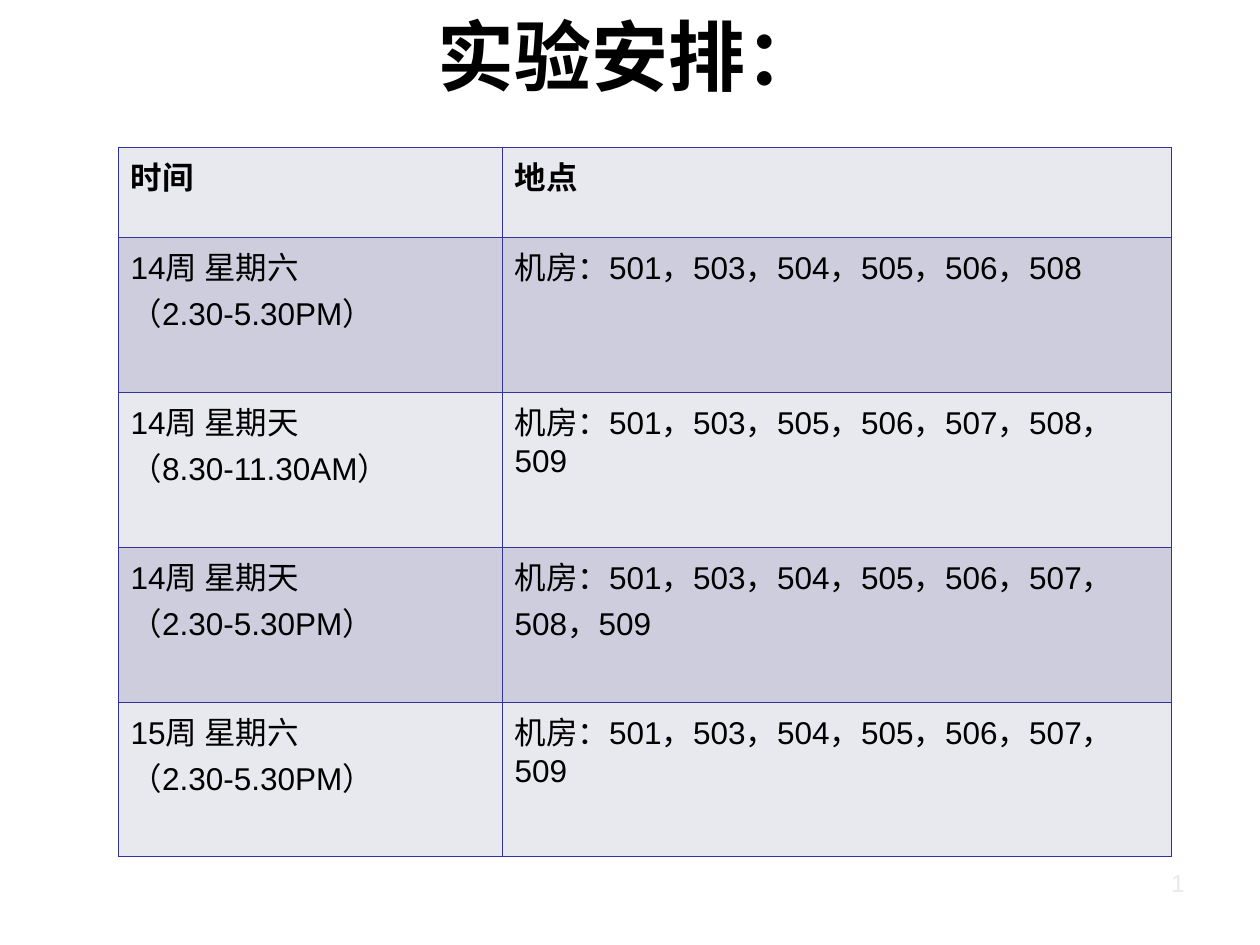
from typing import NamedTuple

from lxml.etree import SubElement
from pptx import Presentation
from pptx.dml.color import RGBColor
from pptx.enum.text import MSO_ANCHOR as Anchor, PP_ALIGN as Align
from pptx.oxml.ns import qn
from pptx.util import Emu, Pt

PX = 914400 / 126
FONT = "Arial"
BLACK = RGBColor(0x00, 0x00, 0x00)
PALE = RGBColor(0xE8, 0xE8, 0xEF)
LILAC = RGBColor(0xCD, 0xCD, 0xDE)
NAVY = RGBColor(0x33, 0x33, 0x99)
BORDER_WIDTH = Pt(0.45)
COLUMN_WIDTHS = (384, 669)
HEADER_HEIGHT, ROW_HEIGHT = 90, 155


class Label(NamedTuple):
    text: str
    left: int
    top: int
    width: int
    height: int
    size: int
    color: RGBColor
    bold: bool
    align: Align


class Session(NamedTuple):
    day: str
    hours: str
    rooms: tuple[int, ...]


LABELS = (
    Label("实验安排：", 63, 6, 1134, 97, 44, BLACK, True, Align.CENTER),
    Label("1", 903, 858, 294, 50, 14, PALE, False, Align.RIGHT),
)
HEADINGS = ("时间", "地点")
SESSIONS = (
    Session("14周 星期六", "2.30-5.30PM", (501, 503, 504, 505, 506, 508)),
    Session("14周 星期天", "8.30-11.30AM", (501, 503, 505, 506, 507, 508, 509)),
    Session("14周 星期天", "2.30-5.30PM", (501, 503, 504, 505, 506, 507, 508, 509)),
    Session("15周 星期六", "2.30-5.30PM", (501, 503, 504, 505, 506, 507, 509)),
)


def px(length: int) -> Emu:
    return Emu(round(length * PX))


def write(frame, lines, size, color=BLACK, bold=False, align=Align.LEFT) -> None:
    for index, line in enumerate(lines):
        para = frame.add_paragraph() if index else frame.paragraphs[0]
        para.alignment = align
        span = para.add_run()
        span.text = line
        span.font.name = FONT
        span.font.size = Pt(size)
        span.font.bold = bold
        span.font.color.rgb = color


def draw_label(page, label: Label) -> None:
    box = page.shapes.add_textbox(
        px(label.left), px(label.top), px(label.width), px(label.height)
    )
    frame = box.text_frame
    frame.word_wrap = True
    frame.vertical_anchor = Anchor.MIDDLE
    write(frame, [label.text], label.size, label.color, label.bold, label.align)


def add_borders(cell) -> None:
    properties = cell._tc.get_or_add_tcPr()
    for position, side in enumerate(("lnL", "lnR", "lnT", "lnB")):
        line = SubElement(properties, qn(f"a:{side}"), w=str(int(BORDER_WIDTH)))
        fill = SubElement(line, qn("a:solidFill"))
        SubElement(fill, qn("a:srgbClr"), val=str(NAVY))
        properties.insert(position, line)


def draw_schedule(page, left: int, top: int) -> None:
    rows = [[[heading] for heading in HEADINGS]]
    for session in SESSIONS:
        rooms = "，".join(map(str, session.rooms))
        rows.append([[session.day, f"（{session.hours}）"], [f"机房：{rooms}"]])
    height = HEADER_HEIGHT + ROW_HEIGHT * len(SESSIONS)
    table = page.shapes.add_table(
        len(rows), len(HEADINGS), px(left), px(top), px(sum(COLUMN_WIDTHS)), px(height)
    ).table
    for column, width in zip(table.columns, COLUMN_WIDTHS):
        column.width = px(width)
    for index, row in enumerate(rows):
        table.rows[index].height = px(ROW_HEIGHT if index else HEADER_HEIGHT)
        for column, lines in enumerate(row):
            cell = table.cell(index, column)
            cell.fill.solid()
            cell.fill.fore_color.rgb = LILAC if index % 2 else PALE
            add_borders(cell)
            write(cell.text_frame, lines, 18, bold=index == 0)


def main() -> None:
    deck = Presentation()
    deck.slide_width, deck.slide_height = px(1260), px(945)
    page = deck.slides.add_slide(deck.slide_layouts[6])
    for label in LABELS:
        draw_label(page, label)
    draw_schedule(page, 118, 147)
    deck.save("out.pptx")


if __name__ == "__main__":
    main()
